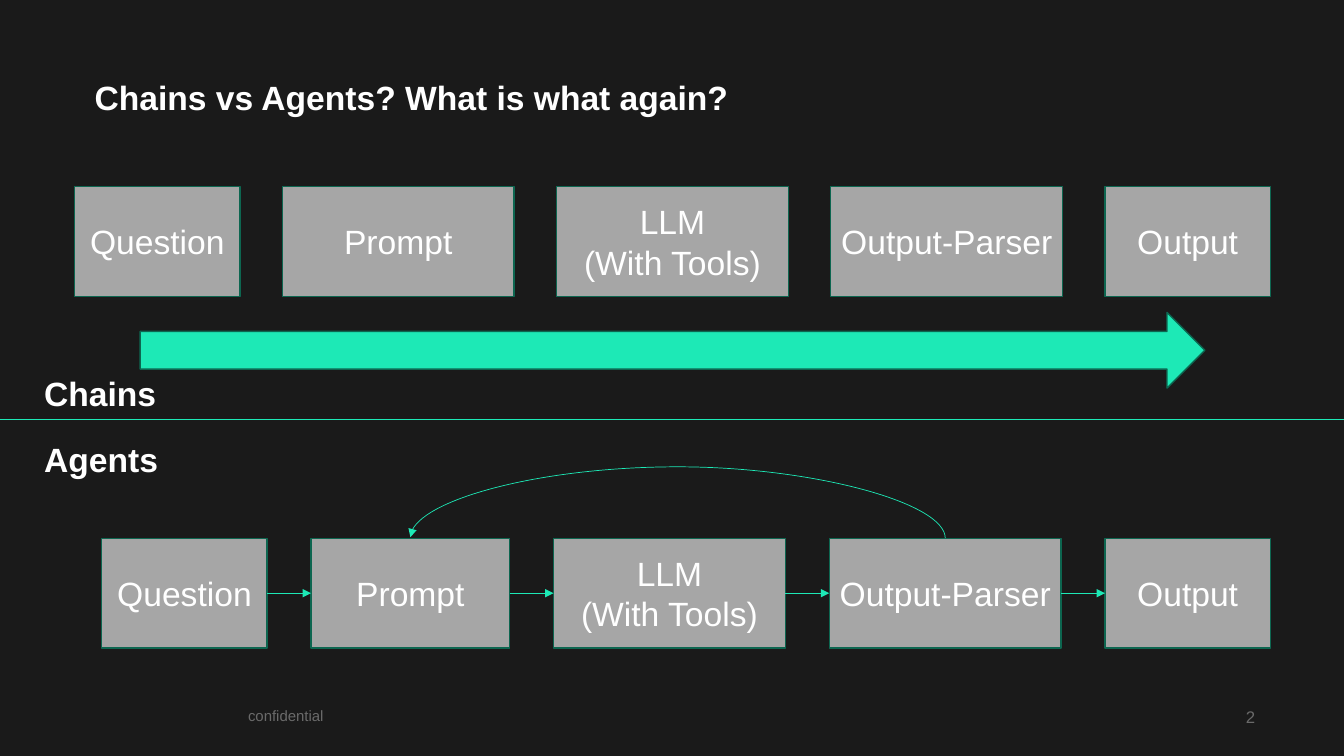
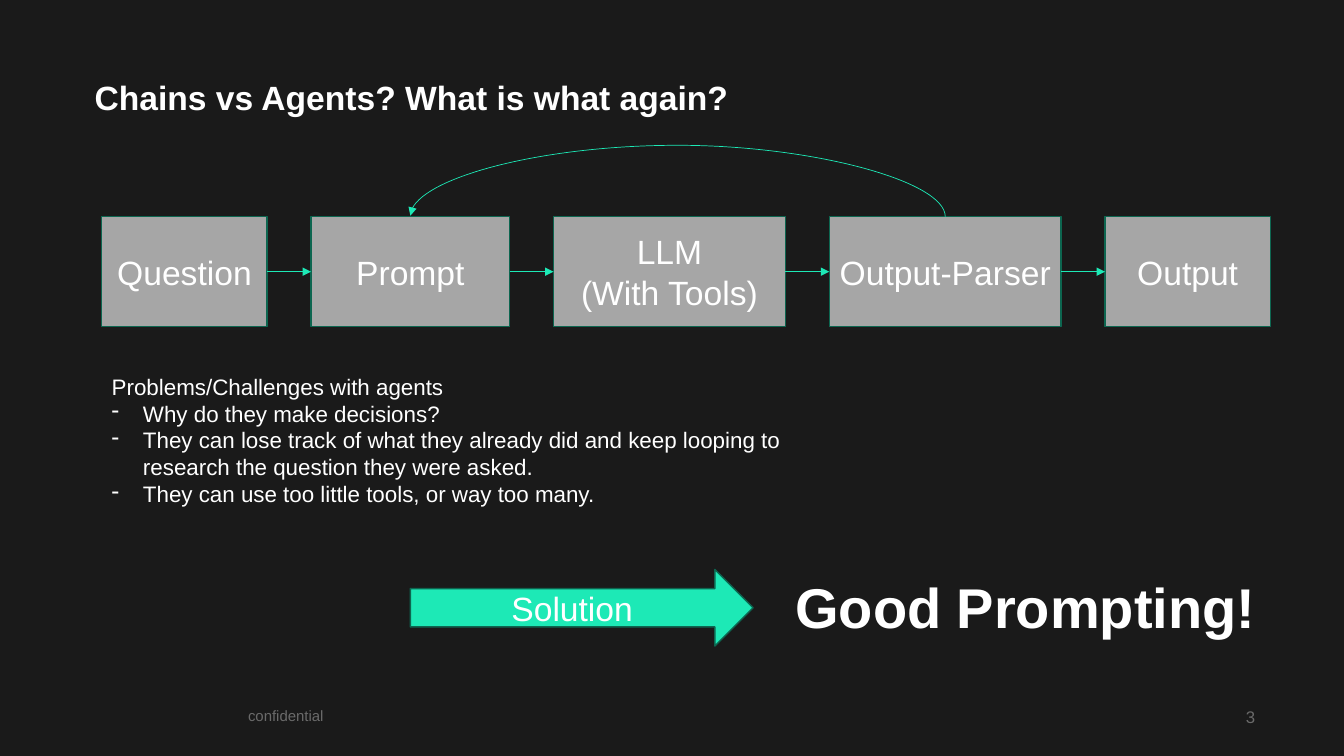
from dataclasses import dataclass

from lxml import etree
from pptx import Presentation
from pptx.dml.color import RGBColor
from pptx.enum.shapes import MSO_CONNECTOR, MSO_SHAPE
from pptx.enum.text import MSO_ANCHOR, PP_ALIGN
from pptx.oxml.ns import qn
from pptx.util import Inches, Pt

RECTANGLE = MSO_SHAPE.RECTANGLE
RIGHT_ARROW = MSO_SHAPE.RIGHT_ARROW
STRAIGHT, CURVE = MSO_CONNECTOR.STRAIGHT, MSO_CONNECTOR.CURVE
LEFT, CENTER, RIGHT = PP_ALIGN.LEFT, PP_ALIGN.CENTER, PP_ALIGN.RIGHT
TOP, MIDDLE = MSO_ANCHOR.TOP, MSO_ANCHOR.MIDDLE

BACKGROUND = RGBColor(0x1A, 0x1A, 0x1A)
WHITE = RGBColor(0xFF, 0xFF, 0xFF)
BOX_GRAY = RGBColor(0xA6, 0xA6, 0xA6)
FOOTER_GRAY = RGBColor(0x6A, 0x6A, 0x6A)
MINT = RGBColor(0x1D, 0xE9, 0xB6)
DARK_GREEN = RGBColor(0x0D, 0x66, 0x50)

FONT = "Arial"
SLIDE_WIDTH, SLIDE_HEIGHT = 13.33, 7.5
TITLE = "Chains vs Agents? What is what again?"
BOX_HEIGHT = 1.09
LOOP_RISE = 0.71
LOOP_DEPTH = 0.01
INDENT = 0.31


@dataclass(frozen=True)
class Step:
    text: str
    width: float


@dataclass(frozen=True)
class Row:
    left: float
    gap: float
    steps: tuple[Step, ...]


QUESTION = Step("Question", 1.64)
MODEL = Step("LLM\n(With Tools)", 2.3)
PARSER = Step("Output-Parser", 2.3)
OUTPUT = Step("Output", 1.64)
CHAIN = Row(0.74, 0.42, (QUESTION, Step("Prompt", 2.3), MODEL, PARSER, OUTPUT))
AGENT = Row(1.01, 0.435, (QUESTION, Step("Prompt", 1.97), MODEL, PARSER, OUTPUT))


# Text
def write(shape, text: str, *, size: float = 24, color: RGBColor = WHITE,
          bold: bool = False, align=LEFT, anchor=TOP, wrap: bool = True,
          inset: bool = True, line_spacing: float | None = None,
          dashes: bool = False) -> None:
    """Fill a shape with one paragraph per line; dashes mark all but the first."""
    frame = shape.text_frame
    frame.word_wrap = wrap
    frame.vertical_anchor = anchor
    if not inset:
        frame.margin_left = frame.margin_right = 0
        frame.margin_top = frame.margin_bottom = 0
    frame.text = text
    for index, paragraph in enumerate(frame.paragraphs):
        if dashes and index:
            properties = paragraph._p.get_or_add_pPr()
            properties.set("marL", str(Inches(INDENT)))
            properties.set("indent", str(-Inches(INDENT)))
            etree.SubElement(properties, qn("a:buChar"), char="-")
        paragraph.alignment = align
        if line_spacing:
            paragraph.line_spacing = line_spacing
        for run in paragraph.runs:
            run.font.name = FONT
            run.font.size = Pt(size)
            run.font.bold = bold
            run.font.color.rgb = color


def add_text(slide, left: float, top: float, width: float, height: float,
             text: str, **text_format) -> None:
    box = slide.shapes.add_textbox(Inches(left), Inches(top),
                                   Inches(width), Inches(height))
    write(box, text, **text_format)


# Shapes and lines
def add_block(slide, kind, left: float, top: float, width: float, height: float,
              fill: RGBColor, text: str = ""):
    shape = slide.shapes.add_shape(kind, Inches(left), Inches(top),
                                   Inches(width), Inches(height))
    shape.shadow.inherit = False
    shape.fill.solid()
    shape.fill.fore_color.rgb = fill
    shape.line.color.rgb = DARK_GREEN
    shape.line.width = Pt(1)
    if text:
        write(shape, text, align=CENTER, anchor=MIDDLE)
    return shape


def add_line(slide, start: tuple[float, float] = (0, 0),
             end: tuple[float, float] = (0, 0), *, kind=STRAIGHT,
             arrow: bool = False):
    line = slide.shapes.add_connector(kind, Inches(start[0]), Inches(start[1]),
                                      Inches(end[0]), Inches(end[1]))
    line.line.color.rgb = MINT
    line.line.width = Pt(0.5)
    if arrow:
        etree.SubElement(line.line._get_or_add_ln(), qn("a:tailEnd"), type="triangle")
    etree.SubElement(line._element.spPr, qn("a:effectLst"))
    return line


def join(slide, source, source_side: int, target, target_side: int, kind=STRAIGHT):
    arrow = add_line(slide, kind=kind, arrow=True)
    arrow.begin_connect(source, source_side)
    arrow.end_connect(target, target_side)
    return arrow


def add_loop(slide, source, target) -> None:
    """Curve back from the top of source to the top of target."""
    loop = join(slide, source, 0, target, 0, CURVE)
    start = source.left + source.width // 2
    end = target.left + target.width // 2
    depth, span = Inches(LOOP_DEPTH), start - end
    # The curve is a thin upright connector turned on its side
    loop.left = (start + end - depth) // 2
    loop.top = source.top - (depth + span) // 2
    loop.width, loop.height = depth, span
    transform = loop._element.spPr.find(qn("a:xfrm"))
    transform.attrib.pop("flipH", None)
    transform.set("rot", str(270 * 60000))
    transform.set("flipV", "1")
    geometry = loop._element.spPr.find(qn("a:prstGeom"))
    adjustments = geometry.find(qn("a:avLst"))
    if adjustments is None:
        adjustments = etree.SubElement(geometry, qn("a:avLst"))
    rise = round((LOOP_RISE + LOOP_DEPTH) / LOOP_DEPTH * 100000)
    etree.SubElement(adjustments, qn("a:gd"), name="adj1", fmla=f"val {rise}")


# Diagrams
def add_row(slide, row: Row, top: float) -> list:
    boxes = []
    left = row.left
    for step in row.steps:
        boxes.append(add_block(slide, RECTANGLE, left, top, step.width, BOX_HEIGHT,
                               BOX_GRAY, step.text))
        left += step.width + row.gap
    return boxes


def add_agent(slide, top: float) -> None:
    boxes = add_row(slide, AGENT, top)
    _, prompt, _, parser, _ = boxes
    add_loop(slide, parser, prompt)
    for source, target in zip(boxes, boxes[1:]):
        join(slide, source, 3, target, 1)


# Slides
def add_slide(presentation, number: int):
    slide = presentation.slides.add_slide(presentation.slide_layouts[6])
    slide.background.fill.solid()
    slide.background.fill.fore_color.rgb = BACKGROUND
    add_text(slide, 11.74, 6.91, 0.71, 0.4, str(number), size=12,
             color=FOOTER_GRAY, align=RIGHT, anchor=MIDDLE, inset=False)
    add_text(slide, 2.46, 7.01, 2.61, 0.32, "confidential", size=10.7,
             color=FOOTER_GRAY, inset=False)
    add_text(slide, 0.84, 0.76, 11.65, 1.09, TITLE, bold=True, line_spacing=0.9)
    return slide


def build_comparison(presentation) -> None:
    slide = add_slide(presentation, 2)
    add_row(slide, CHAIN, 1.85)
    add_block(slide, RIGHT_ARROW, 1.39, 3.1, 10.56, 0.75, MINT)
    add_line(slide, (0, 4.16), (SLIDE_WIDTH, 4.16))
    for label, top in (("Chains", 3.65), ("Agents", 4.31)):
        add_text(slide, 0.34, top, 1.33, 0.5, label, bold=True, wrap=False)
    add_agent(slide, 5.34)


def build_challenges(presentation) -> None:
    slide = add_slide(presentation, 3)
    add_agent(slide, 2.15)
    challenges = (
        "Problems/Challenges with agents",
        "Why do they make decisions?",
        "They can lose track of what they already did and keep looping to "
        "research the question they were asked.",
        "They can use too little tools, or way too many.",
    )
    add_text(slide, 1.01, 3.65, 7.22, 1.45, "\n".join(challenges), size=16, dashes=True)
    add_block(slide, RIGHT_ARROW, 4.07, 5.65, 3.4, 0.76, MINT, "Solution")
    add_text(slide, 7.79, 5.63, 5.04, 0.77, "Good Prompting!", size=40, bold=True)


def main() -> None:
    presentation = Presentation()
    presentation.slide_width = Inches(SLIDE_WIDTH)
    presentation.slide_height = Inches(SLIDE_HEIGHT)
    build_comparison(presentation)
    build_challenges(presentation)
    presentation.save("out.pptx")


if __name__ == "__main__":
    main()
